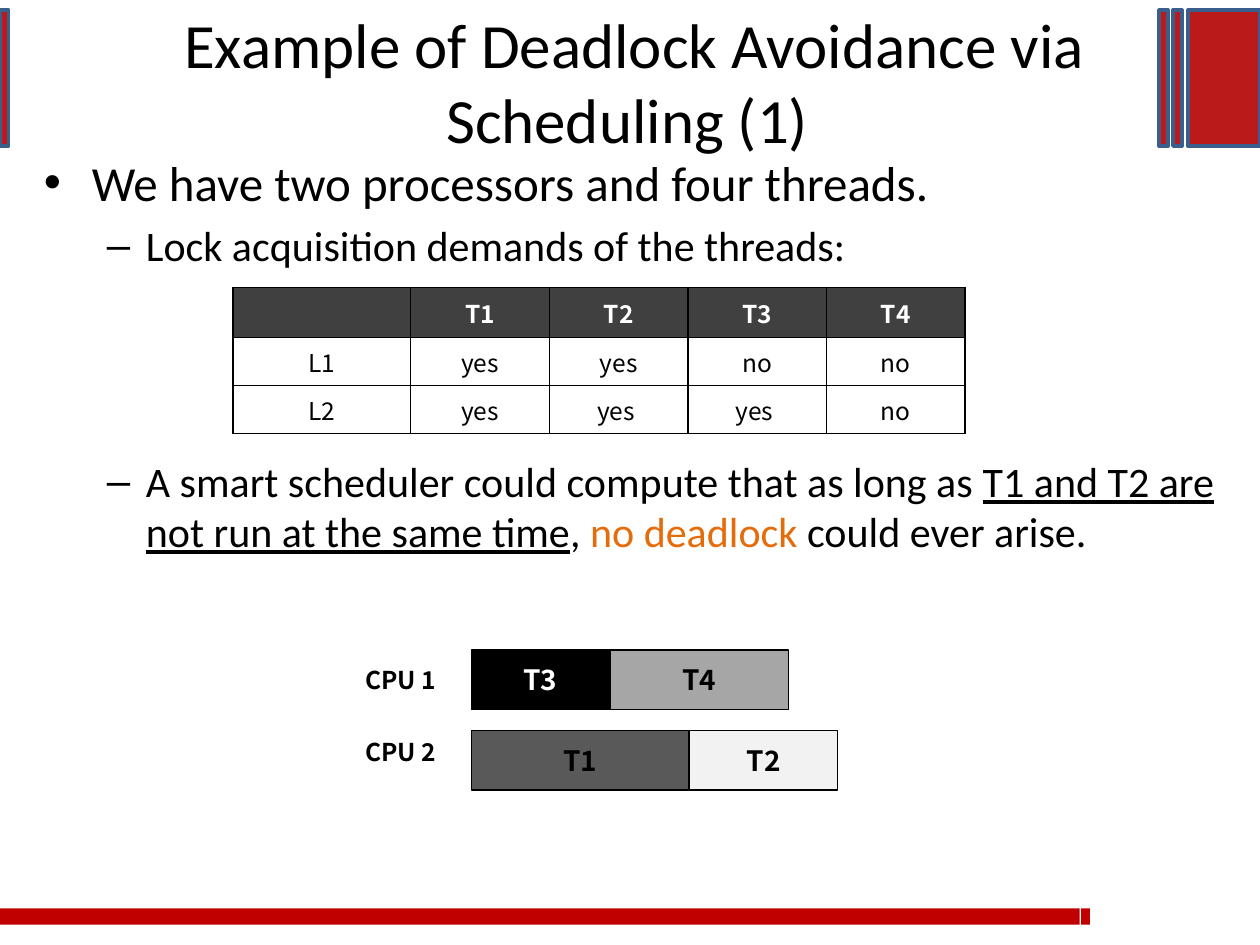
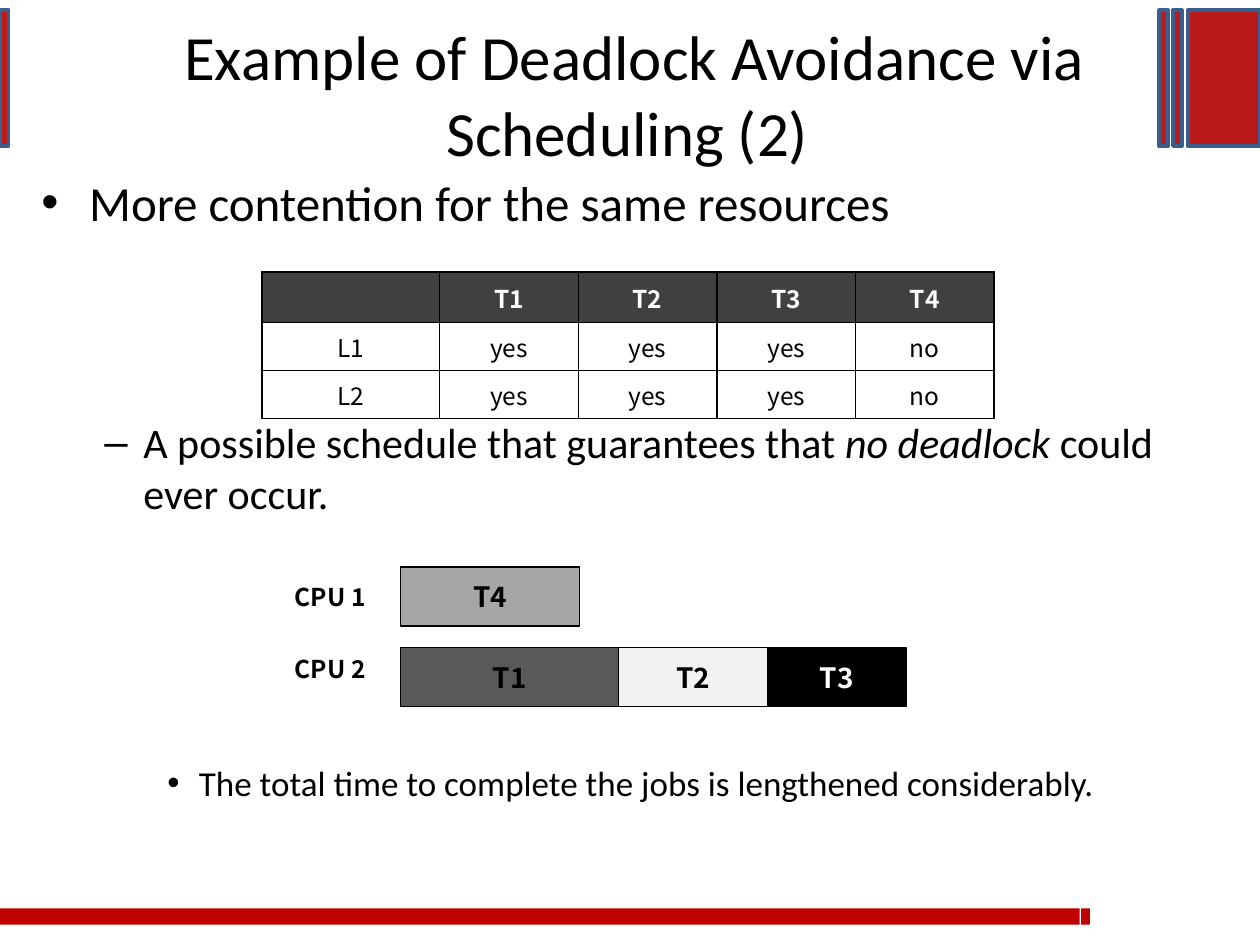
from lxml.etree import SubElement
from pptx import Presentation
from pptx.dml.color import RGBColor
from pptx.enum.shapes import MSO_SHAPE as Preset
from pptx.enum.text import MSO_ANCHOR as Anchor, MSO_AUTO_SIZE as AutoSize, PP_ALIGN as Align
from pptx.oxml.ns import qn
from pptx.util import Inches, Pt

BLACK = RGBColor(0x00, 0x00, 0x00)
WHITE = RGBColor(0xFF, 0xFF, 0xFF)
FOOTER_RED = RGBColor(0xC0, 0x00, 0x00)
BAND_RED = RGBColor(0xBA, 0x1A, 0x1A)
BAND_EDGE = RGBColor(0x3A, 0x5F, 0x8C)
HEADER_GRAY = RGBColor(0x40, 0x40, 0x40)
ORANGE = RGBColor(0xE4, 0x6C, 0x0A)

BODY_FONT = "Calibri"
DIAGRAM_FONT = "Noto Sans CJK KR"

TITLE = {"name": BODY_FONT, "size": Pt(36), "color": BLACK}
CPU_LABEL = {"name": DIAGRAM_FONT, "size": Pt(14), "bold": True, "color": BLACK}
TABLE_HEAD = {**CPU_LABEL, "color": WHITE}
TABLE_BODY = {**CPU_LABEL, "bold": False}
THREAD_LABEL = {**CPU_LABEL, "size": Pt(16)}

LEVELS = [
    {"mark": "•", "margin": 0.38, "hang": 0.38, "size": Pt(28)},
    {"mark": "–", "margin": 0.81, "hang": 0.31, "size": Pt(24)},
    {"mark": "•", "margin": 1.25, "hang": 0.25, "size": Pt(20)},
]

THREADS = {
    "T1": (1.73, RGBColor(0x59, 0x59, 0x59), BLACK),
    "T2": (1.18, RGBColor(0xF2, 0xF2, 0xF2), BLACK),
    "T3": (1.1, BLACK, WHITE),
    "T4": (1.42, RGBColor(0xA6, 0xA6, 0xA6), BLACK),
}

BANDS = [(0, 0.07), (9.43, 0.57), (9.31, 0.07), (9.2, 0.07)]
FOOTERS = [(0, 8.57), (8.58, 0.07)]
LOCK_COLUMNS = [1.41, 1.1, 1.1, 1.1, 1.1]
LOCK_ROW = 0.38
BAR_HEIGHT = 0.47
BAR_PITCH = 0.64
LABEL_PITCH = 0.57


class Deck:
    def __init__(self):
        self.presentation = Presentation()
        self.presentation.slide_width = Inches(10)
        self.presentation.slide_height = Inches(7.5)
        self.slide = None

    def start_slide(self, title, top):
        self.slide = self.presentation.slides.add_slide(self.presentation.slide_layouts[5])
        heading = self.slide.shapes.title
        place = {"left": 0.23, "top": top, "width": 9.61, "height": 0.64}
        for side, length in place.items():
            setattr(heading, side, Inches(length))
        frame = heading.text_frame
        frame.auto_size = AutoSize.NONE
        frame.word_wrap = True
        frame.vertical_anchor = Anchor.MIDDLE
        self.add_text(frame.paragraphs[0], title, TITLE, Align.CENTER)

        decoration = self.slide.shapes.add_group_shape().shapes
        for left, width in FOOTERS:
            self.box(decoration, left, 7.21, width, 0.13, FOOTER_RED)
        for left, width in BANDS:
            self.box(decoration, left, 0.08, width, 1.08, BAND_RED, BAND_EDGE, 2)

    def add_text(self, paragraph, text, style, align=None):
        if align is not None:
            paragraph.alignment = align
        run = paragraph.add_run()
        run.text = text
        for key, value in style.items():
            if key == "color":
                run.font.color.rgb = value
            else:
                setattr(run.font, key, value)

    def box(self, shapes, left, top, width, height, fill, edge=None, weight=0.75):
        rectangle = shapes.add_shape(
            Preset.RECTANGLE, Inches(left), Inches(top), Inches(width), Inches(height))
        rectangle.shadow.inherit = False
        rectangle.fill.solid()
        rectangle.fill.fore_color.rgb = fill
        if edge is None:
            rectangle.line.fill.background()
        else:
            rectangle.line.color.rgb = edge
            rectangle.line.width = Pt(weight)
        return rectangle

    def body(self, left, top, points):
        area = self.slide.shapes.add_textbox(
            Inches(left), Inches(top), Inches(9.61), Inches(6.02))
        frame = area.text_frame
        frame.word_wrap = True
        for index, (level, gap, runs) in enumerate(points):
            paragraph = frame.paragraphs[0] if index == 0 else frame.add_paragraph()
            look = LEVELS[level]
            paragraph.level = level
            paragraph.space_before = Pt(gap)
            properties = paragraph._p.get_or_add_pPr()
            properties.set("marL", str(Inches(look["margin"])))
            properties.set("indent", str(-Inches(look["hang"])))
            SubElement(properties, qn("a:buFont")).set("typeface", "Arial")
            SubElement(properties, qn("a:buChar")).set("char", look["mark"])
            base = {"name": BODY_FONT, "size": look["size"], "color": BLACK}
            for text, emphasis in runs:
                self.add_text(paragraph, text, {**base, **emphasis})

    def lock_table(self, left, top, demands):
        rows = [["", *sorted(THREADS)], *demands]
        frame = self.slide.shapes.add_table(
            len(rows), len(LOCK_COLUMNS), Inches(left), Inches(top),
            Inches(sum(LOCK_COLUMNS)), Inches(LOCK_ROW * len(rows)))
        table = frame.table
        table.first_row = False
        table.horz_banding = False
        for column, width in zip(table.columns, LOCK_COLUMNS):
            column.width = Inches(width)
        for row_index, (row, texts) in enumerate(zip(table.rows, rows)):
            row.height = Inches(LOCK_ROW)
            is_head = row_index == 0
            for cell, text in zip(row.cells, texts):
                self.outline_cell(cell)
                cell.fill.solid()
                cell.fill.fore_color.rgb = HEADER_GRAY if is_head else WHITE
                cell.vertical_anchor = Anchor.MIDDLE
                self.add_text(cell.text_frame.paragraphs[0], text,
                              TABLE_HEAD if is_head else TABLE_BODY, Align.CENTER)

    def outline_cell(self, cell):
        properties = cell._tc.get_or_add_tcPr()
        for side in ("lnL", "lnR", "lnT", "lnB"):
            border = SubElement(properties, qn(f"a:{side}"), w=str(Pt(1)))
            fill = SubElement(border, qn("a:solidFill"))
            SubElement(fill, qn("a:srgbClr"), val=str(BLACK))

    def schedule(self, left, top, cpu_queues):
        shapes = self.slide.shapes.add_group_shape().shapes
        for index, queue in enumerate(cpu_queues):
            label = shapes.add_textbox(
                Inches(left - 0.94), Inches(top + 0.07 + index * LABEL_PITCH),
                Inches(0.78), Inches(0.34))
            label.text_frame.word_wrap = False
            label.text_frame.auto_size = AutoSize.SHAPE_TO_FIT_TEXT
            self.add_text(label.text_frame.paragraphs[0], f"CPU {index + 1}", CPU_LABEL)
            start = left
            for thread in queue:
                duration, fill, ink = THREADS[thread]
                bar = self.box(shapes, start, top + index * BAR_PITCH,
                               duration, BAR_HEIGHT, fill, BLACK)
                bar.text_frame.vertical_anchor = Anchor.MIDDLE
                self.add_text(bar.text_frame.paragraphs[0], thread,
                              {**THREAD_LABEL, "color": ink}, Align.CENTER)
                start += duration


def main():
    deck = Deck()

    deck.start_slide("Example of Deadlock Avoidance via Scheduling (1) ", 0.32)
    deck.body(0.25, 1.16, [
        (0, 0, [("We have two processors and four threads.", {})]),
        (1, 4.8, [("Lock acquisition demands of the threads:", {})]),
        (1, 106, [
            ("A smart scheduler could compute that as long as ", {}),
            ("T1 and T2 are not run at the same time", {"underline": True}),
            (", ", {}),
            ("no deadlock ", {"color": ORANGE}),
            ("could ever arise.", {}),
        ]),
    ])
    deck.lock_table(1.85, 2.28, [
        ["L1", "yes", "yes", "no", "no"],
        ["L2", "yes", "yes ", "yes ", "no"],
    ])
    deck.schedule(3.74, 5.16, [["T3", "T4"], ["T1", "T2"]])

    deck.start_slide("Example of Deadlock Avoidance via Scheduling (2) ", 0.42)
    deck.body(0.23, 1.32, [
        (0, 0, [("More contention for the same resources", {})]),
        (1, 106, [
            ("A possible schedule that guarantees that ", {}),
            ("no deadlock ", {"italic": True}),
            ("could ever occur.", {}),
        ]),
        (2, 139.5, [
            ("The total time to complete the jobs is lengthened considerably.", {}),
        ]),
    ])
    deck.lock_table(2.08, 2.16, [
        ["L1", "yes", "yes", "yes", "no"],
        ["L2", "yes", "yes", "yes", "no"],
    ])
    deck.schedule(3.18, 4.5, [["T4"], ["T1", "T2", "T3"]])

    deck.presentation.save("out.pptx")


if __name__ == "__main__":
    main()
